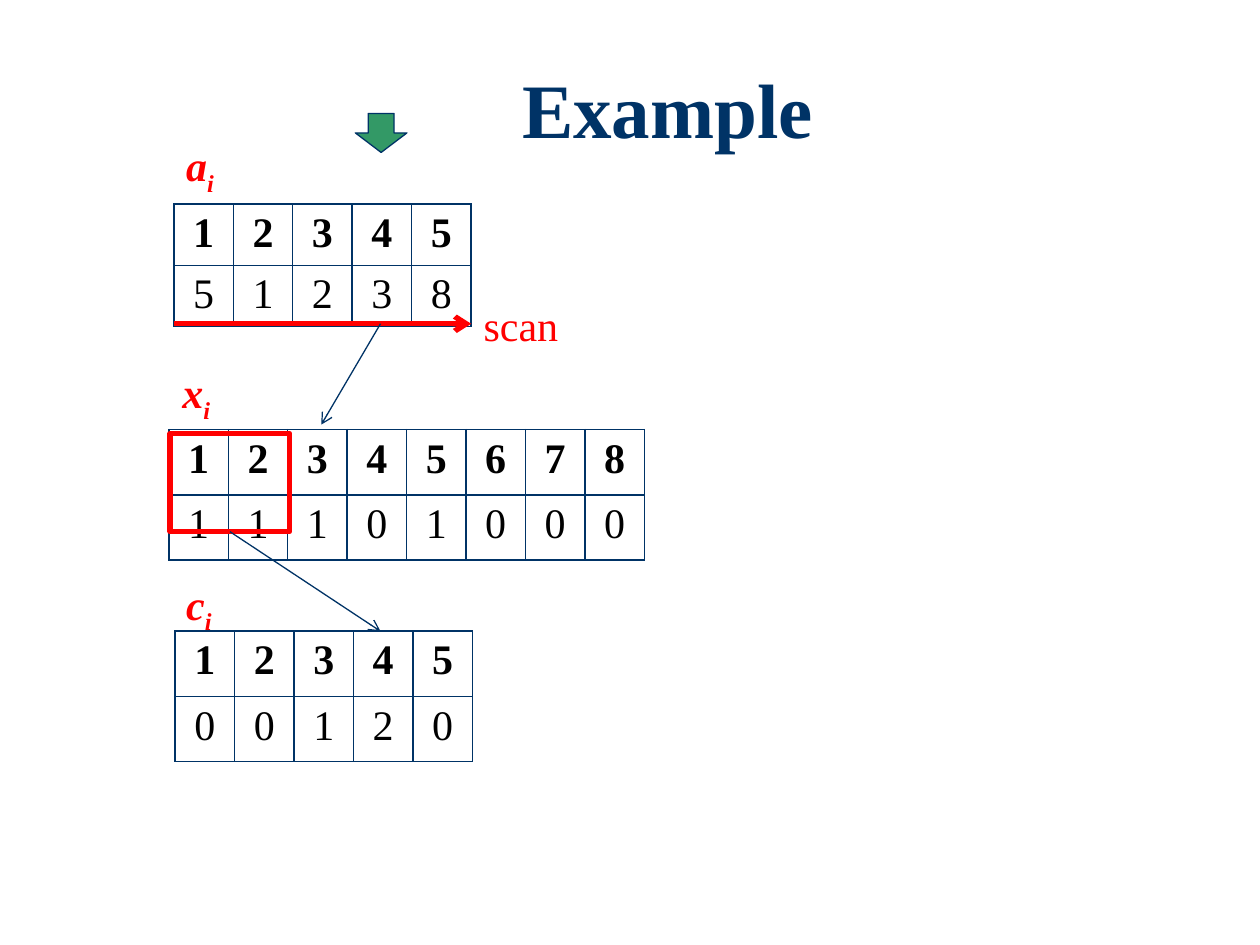
import pptx
import pptx.util
import pptx.dml.color
import pptx.enum.shapes
import pptx.enum.text
import pptx.oxml
import pptx.oxml.ns

RGB = pptx.dml.color.RGBColor
NAVY = RGB(0x00, 0x33, 0x66)
RED = RGB(0xFF, 0x00, 0x00)
GREEN = RGB(0x33, 0x99, 0x66)
BLACK = RGB(0x00, 0x00, 0x00)
WHITE = RGB(0xFF, 0xFF, 0xFF)

FORM = pptx.enum.shapes.MSO_SHAPE
LINK = pptx.enum.shapes.MSO_CONNECTOR
ALIGN = pptx.enum.text.PP_ALIGN
ANCHOR = pptx.enum.text.MSO_ANCHOR
FIT = pptx.enum.text.MSO_AUTO_SIZE
NS = pptx.oxml.ns.nsdecls("a")

COLS, ROWS = 100, 75
CELL, ROW = 4.72, 4.05


class Board:
    font = "Times New Roman"
    size = 24

    def __init__(self, deck):
        self.shapes = deck.slides.add_slide(deck.slide_layouts[6]).shapes
        self.wide, self.high = deck.slide_width, deck.slide_height

    def spot(self, *nums):
        units = (self.wide / COLS, self.high / ROWS)
        return [round(num * units[n % 2]) for n, num in enumerate(nums)]

    def style(self, run, color, size=None, bold=False, slant=False):
        font = run.font
        font.name, font.size = self.font, pptx.util.Pt(size or self.size)
        font.bold, font.italic = bold, slant
        font.color.rgb = color

    def title(self, text, *area):
        frame = self.shapes.add_textbox(*self.spot(*area)).text_frame
        frame.word_wrap = True
        frame.vertical_anchor = ANCHOR.MIDDLE
        frame.text = text
        para = frame.paragraphs[0]
        para.alignment, para.line_spacing = ALIGN.CENTER, 0.9
        self.style(para.runs[0], NAVY, 44, True)

    def label(self, text, *area, sub=None):
        frame = self.shapes.add_textbox(*self.spot(*area)).text_frame
        frame.word_wrap = False
        frame.auto_size = FIT.SHAPE_TO_FIT_TEXT
        frame.text = text
        para = frame.paragraphs[0]
        if sub:
            low = para.add_run()
            low.text = sub
            low._r.get_or_add_rPr().set("baseline", "-25000")
        for run in para.runs:
            self.style(run, RED, bold=bool(sub), slant=bool(sub))

    def border(self, cell):
        props = cell._tc.get_or_add_tcPr()
        for n, side in enumerate("LRTB"):
            props.insert(n, pptx.oxml.parse_xml(
                f'<a:ln{side} {NS} w="12700"><a:solidFill>'
                f'<a:srgbClr val="{NAVY}"/></a:solidFill></a:ln{side}>'))

    def table(self, left, top, vals, foot):
        count = len(vals)
        area = self.spot(left, top, CELL * count, ROW * 2)
        table = self.shapes.add_table(2, count, *area).table
        table.first_row = table.horz_banding = False
        for col in table.columns:
            col.width = self.spot(CELL)[0]
        for r, line in enumerate((range(1, count + 1), vals)):
            table.rows[r].height = self.spot(0, ROW)[1]
            for c, val in enumerate(line):
                cell = table.cell(r, c)
                cell.text = str(val)
                cell.margin_bottom = self.spot(0, foot)[1]
                cell.fill.solid()
                cell.fill.fore_color.rgb = WHITE
                para = cell.text_frame.paragraphs[0]
                para.alignment = ALIGN.CENTER
                self.style(para.runs[0], BLACK, bold=r == 0)
                self.border(cell)

    def shape(self, form, *area, line, width, fill=None):
        shape = self.shapes.add_shape(form, *self.spot(*area))
        shape.shadow.inherit = False
        if fill is None:
            shape.fill.background()
        else:
            shape.fill.solid()
            shape.fill.fore_color.rgb = fill
        shape.line.color.rgb = line
        shape.line.width = pptx.util.Pt(width)
        return shape

    def arrow(self, *ends, color=NAVY, width=0.75, start=None):
        link = self.shapes.add_connector(LINK.STRAIGHT, *self.spot(*ends))
        if start is not None:
            link.begin_connect(start, 2)
        link.line.color.rgb = color
        link.line.width = pptx.util.Pt(width)
        link.line._get_or_add_ln().append(
            pptx.oxml.parse_xml(f'<a:tailEnd {NS} type="arrow"/>'))
        link._element.spPr.append(pptx.oxml.parse_xml(f"<a:effectLst {NS}/>"))


def main():
    deck = pptx.Presentation()
    deck.slide_width = pptx.util.Inches(10)
    deck.slide_height = pptx.util.Inches(7.5)
    board = Board(deck)

    board.title("Example", 13, 4.4, 80, 9.2)
    lists = (
        ("a", 13.8, 10.6, 13.8, 16.2, (5, 1, 2, 3, 8), 0.35),
        ("x", 13.5, 28.6, 13.4, 34.1, (1, 1, 1, 0, 1, 0, 0, 0), 0.67),
        ("c", 13.8, 45.4, 13.9, 50.1, (0, 0, 1, 2, 0), 0.67),
    )
    for name, x, y, left, top, vals, foot in lists:
        board.table(left, top, vals, foot)
        board.label(name, x, y, 4.3, 5, sub="i")

    board.arrow(13.8, 25.7, 13.8 + 5 * CELL, 25.7, color=RED, width=3)
    board.label("scan", 37.4, 23.3, 8, 5)
    board.shape(FORM.DOWN_ARROW, 28.2, 9, 4.1, 3.1,
                line=NAVY, width=0.75, fill=GREEN)
    board.arrow(30.2, 25.7, 25.5, 33.7)
    frame = board.shape(FORM.RECTANGLE, 13.5, 34.4, 9.5, 7.8,
                        line=RED, width=3)
    board.arrow(18.3, 42.2, 30.2, 50.1, start=frame)
    deck.save("out.pptx")


if __name__ == "__main__":
    main()
